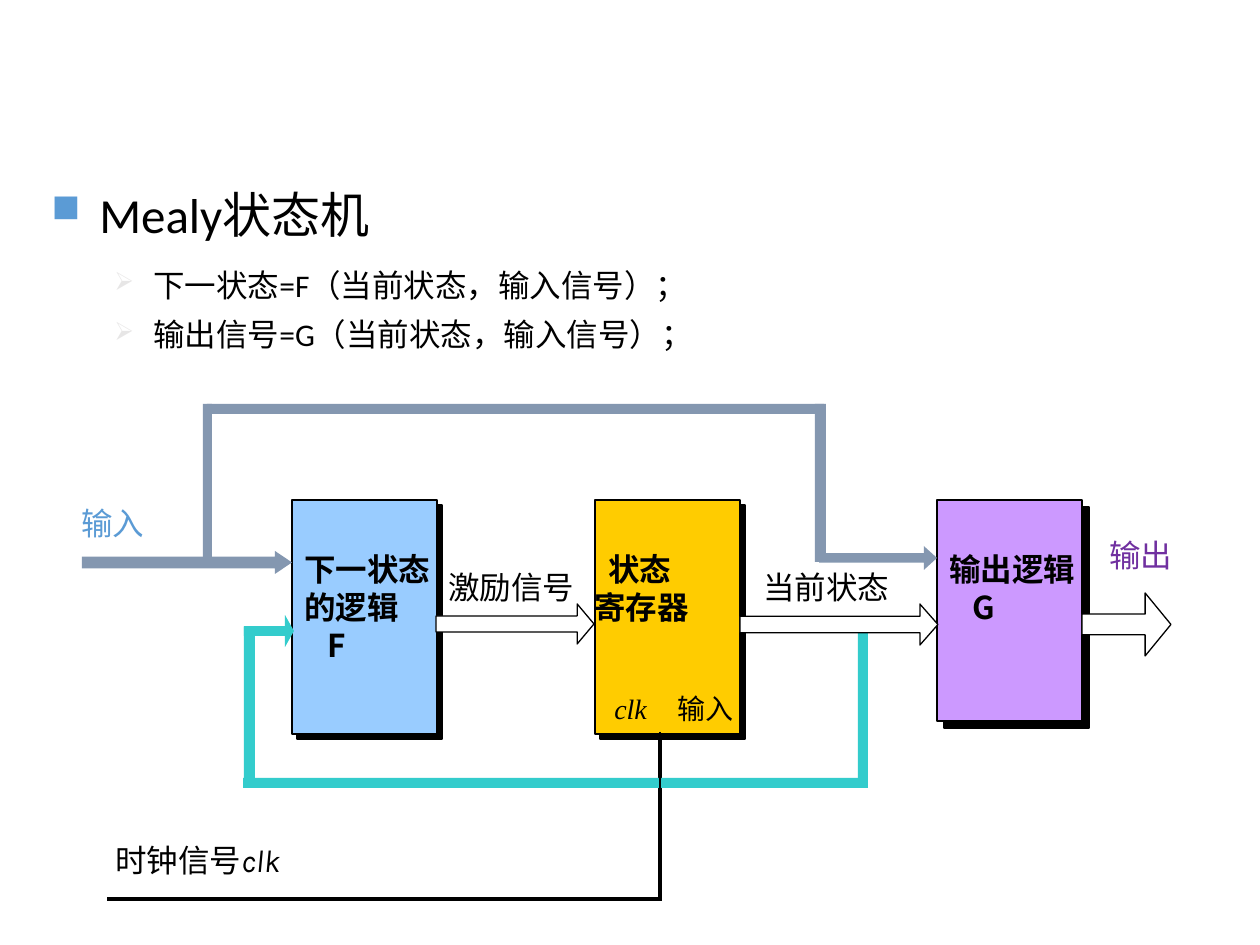
from lxml import etree
from pptx import Presentation
from pptx import util as u
from pptx.dml.color import RGBColor
from pptx.enum import shapes, text
from pptx.oxml.ns import qn

PX = 914400 / 126
BLACK, WHITE, TEAL, SLATE = "000000", "FFFFFF", "33CCCC", "8497B0"
BLUE, PURPLE, PALE = "5B9BD5", "7030A0", "E7E6E6"
CJK = "Noto Sans CJK SC"


def px(value):
    return u.Emu(round(value * PX))


def color(value):
    return RGBColor.from_string(value)


def add_xml(parent, tag, **attributes):
    return etree.SubElement(parent, qn(tag), {k: str(v) for k, v in attributes.items()})


def add_block(slide, kind, box, fill, line=None):
    shape = slide.shapes.add_shape(kind, *map(px, box))
    shape.shadow.inherit = False
    shape.fill.solid()
    shape.fill.fore_color.rgb = color(fill)
    if line:
        shape.line.color.rgb = color(line)
        shape.line.width = u.Pt(0.75)
    else:
        shape.line.fill.background()
    return shape


def add_bar(slide, box, fill):
    add_block(slide, shapes.MSO_SHAPE.RECTANGLE, box, fill)


def add_arrow(slide, box, shaft, head, fill, line=None):
    shape = add_block(slide, shapes.MSO_SHAPE.RIGHT_ARROW, box, fill, line)
    shape.adjustments[0] = shaft
    shape.adjustments[1] = head


def add_stage(slide, box, fill, distance):
    """Logic block with a hard black shadow at 45 degrees."""
    shape = add_block(slide, shapes.MSO_SHAPE.RECTANGLE, box, fill, BLACK)
    effects = shape._element.spPr.find(qn("a:effectLst"))
    shadow = add_xml(effects, "a:outerShdw", blurRad=0, dist=u.Pt(distance),
                     dir=45 * 60000, algn="tl", rotWithShape=0)
    add_xml(shadow, "a:srgbClr", val=BLACK)


def add_line(slide, start, end, width, arrow=False):
    line = slide.shapes.add_connector(
        shapes.MSO_CONNECTOR.STRAIGHT, *map(px, start + end))
    line.line.color.rgb = color(BLACK)
    line.line.width = u.Pt(width)
    if arrow:
        add_xml(line.line._get_or_add_ln(), "a:tailEnd", type="triangle")
    add_xml(line._element.spPr, "a:effectLst")


def style_run(run, size, font, fill, bold=False, italic=False):
    run.font.size = u.Pt(size)
    run.font.name = font
    run.font.color.rgb = color(fill)
    run.font.bold = bold
    run.font.italic = italic


def set_indent(paragraph, margin, first=0):
    properties = paragraph._p.get_or_add_pPr()
    properties.set("marL", str(px(margin)))
    properties.set("indent", str(px(first)))
    return properties


def add_text(slide, box, lines, size=18, font=CJK, fill=BLACK, bold=False, indents=()):
    """Text box with one paragraph per line; indents maps line number to px."""
    frame = slide.shapes.add_textbox(*map(px, box)).text_frame
    frame.word_wrap = True
    for number, line in enumerate(lines):
        paragraph = frame.paragraphs[0] if number == 0 else frame.add_paragraph()
        paragraph.text = line
        if number in indents:
            set_indent(paragraph, indents[number])
        for run in paragraph.runs:
            style_run(run, size, font, fill, bold)
    return frame


def add_bullets(frame, mark, fill, margin, hanging, level=0):
    for paragraph in frame.paragraphs:
        paragraph.level = level
        properties = set_indent(paragraph, margin, -hanging)
        add_xml(add_xml(properties, "a:buClr"), "a:srgbClr", val=fill)
        add_xml(properties, "a:buSzPct", val=80000)
        add_xml(properties, "a:buChar", char=mark)


def add_italic(paragraph, word, size, font):
    run = paragraph.add_run()
    run.text = word
    style_run(run, size, font, BLACK, italic=True)


def add_heading(slide):
    heading = add_text(slide, (39, 178, 1169, 115), ["Mealy状态机"], 28, "Calibri")
    add_bullets(heading, "■", BLUE, 48, 48)
    equations = add_text(slide, (39, 256, 1007, 154), [
        "下一状态=F（当前状态，输入信号）；",
        "输出信号=G（当前状态，输入信号）；"], font="Calibri")
    add_bullets(equations, "➢", PALE, 102, 39, level=1)
    for paragraph in equations.paragraphs:
        paragraph.line_spacing = 1.1
    equations.paragraphs[1].space_before = u.Pt(4.5)


def add_stages_and_paths(slide):
    add_line(slide, (660, 901), (660, 714), 2, arrow=True)
    add_stage(slide, (292, 500, 145, 234), "99CCFF", 4.2)
    add_stage(slide, (937, 500, 145, 221), "CC99FF", 5.7)
    add_stage(slide, (595, 500, 145, 234), "FFCC00", 4.2)
    add_arrow(slide, (436, 604, 158, 40), 0.4, 0.42, WHITE, BLACK)

    for box in ((858, 631, 10, 157), (243, 778, 625, 10), (244, 627, 11, 161)):
        add_bar(slide, box, TEAL)
    add_arrow(slide, (244, 615, 50, 32), 0.31, 0.28, TEAL)
    add_arrow(slide, (1082, 593, 89, 63), 0.33, 0.41, WHITE, BLACK)

    add_arrow(slide, (819, 546, 118, 24), 0.4, 0.55, SLATE)
    for box in ((815, 404, 11, 158), (207, 404, 617, 10), (203, 404, 9, 160)):
        add_bar(slide, box, SLATE)
    add_arrow(slide, (82, 551, 210, 23), 0.51, 0.74, SLATE)


def add_labels(slide):
    add_text(slide, (292, 544, 171, 140), ["下一状态", "的逻辑", "F"],
             bold=True, indents={2: 23})
    add_text(slide, (937, 544, 170, 140), ["输出逻辑", "G"], bold=True, indents={1: 23})
    add_text(slide, (582, 544, 171, 140), ["状态", "寄存器"],
             font="Times New Roman", bold=True, indents={0: 14})
    add_line(slide, (660, 732), (660, 896), 0.75)
    add_line(slide, (660, 899), (107, 899), 2)

    clock = add_text(slide, (103, 835, 290, 71), ["时钟信号"], font="Karla")
    add_italic(clock.paragraphs[0], "clk", 18, "Karla")

    clock_input = add_text(slide, (595, 685, 158, 71), [""])
    paragraph = clock_input.paragraphs[0]
    tabs = add_xml(set_indent(paragraph, 7), "a:tabLst")
    add_xml(tabs, "a:tab", pos=px(61), algn="l")
    add_italic(paragraph, "clk\t", 16, "Times New Roman")
    run = paragraph.add_run()
    run.text = "输入"
    style_run(run, 16, "Times New Roman", BLACK)

    add_text(slide, (69, 498, 210, 71), ["输入"], font="Calibri", fill=BLUE)
    add_text(slide, (1097, 530, 118, 71), ["输出"], font="Calibri", fill=PURPLE)
    add_text(slide, (751, 562, 176, 71), ["当前状态"])
    add_text(slide, (436, 562, 178, 71), ["激励信号"])
    add_arrow(slide, (740, 604, 198, 41), 0.4, 0.44, WHITE, BLACK)


def main():
    presentation = Presentation()
    presentation.slide_width = px(1260)
    presentation.slide_height = px(945)
    slide = presentation.slides.add_slide(presentation.slide_layouts[6])
    add_stages_and_paths(slide)
    add_labels(slide)
    add_heading(slide)
    presentation.save("out.pptx")


if __name__ == "__main__":
    main()
